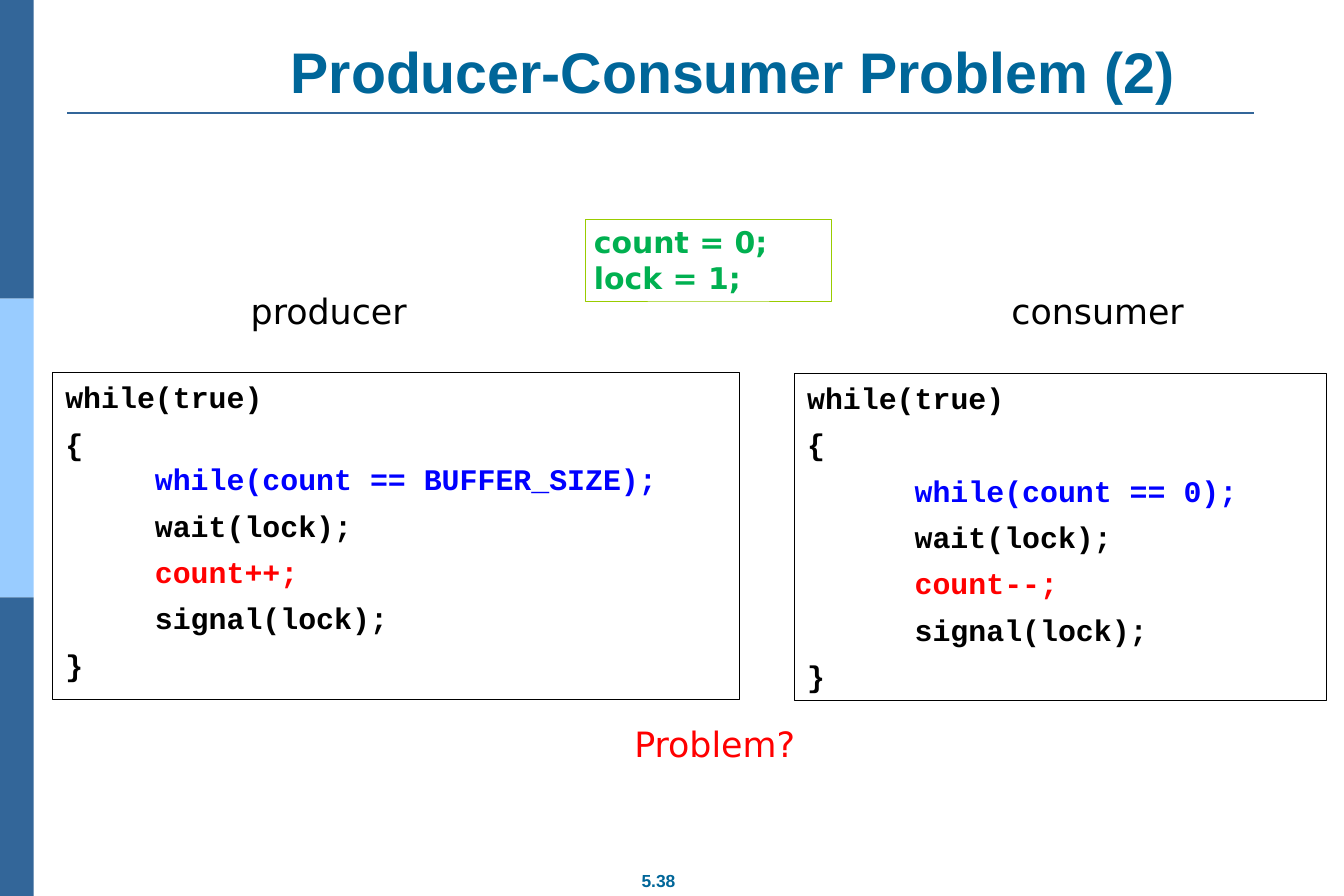
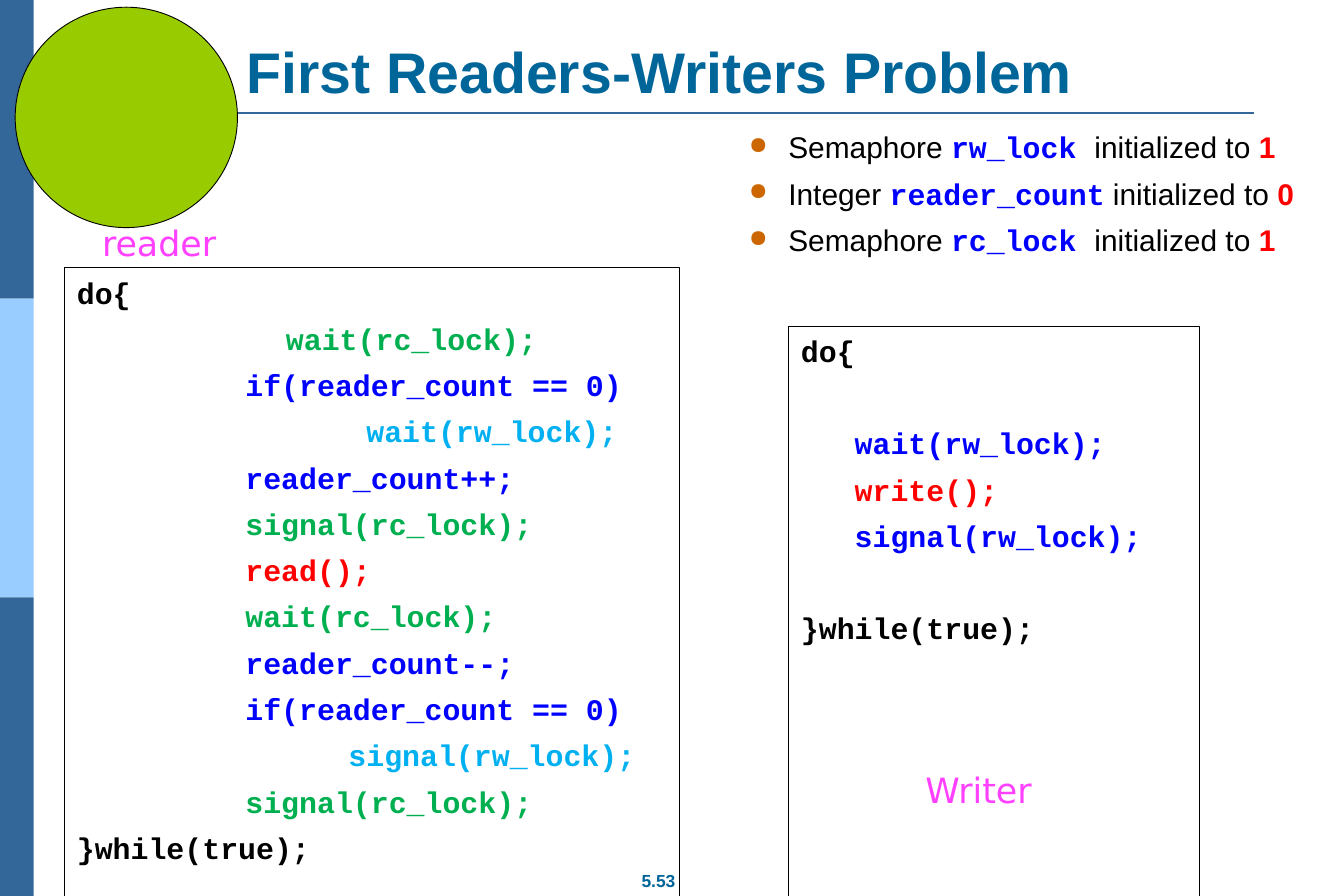
from pptx import Presentation
from pptx.dml.color import RGBColor
from pptx.enum.shapes import MSO_CONNECTOR, MSO_SHAPE
from pptx.enum.text import MSO_ANCHOR, PP_ALIGN
from pptx.oxml.ns import qn
from pptx.util import Pt
from lxml.etree import SubElement

COLORS = {
    "band": "336699", "band_light": "99CCFF", "title": "006699",
    "black": "000000", "blue": "0000FF", "red": "FF0000",
    "green": "00B050", "sky": "00B0F0", "pink": "FF40FF",
    "lime": "99CC00", "bullet": "CC6600",
}
SANS, MONO, LABEL = "Arial", "Courier New", "DejaVu Sans"
W, H = 1080, 720
WIDE_INSET, THIN_INSET = (10, 5), (7.2, 3.6)
LINE_HEIGHT = 1.2
GAP = 8.4
BLANK_LINE = 45.6
IN_PRODUCER, IN_CONSUMER, IN_READER, IN_WRITER = 72, 86.4, 135.4, 43.2

SLIDES = [
    {
        "title": ("Producer-Consumer Problem (2)", (151.2, 28.8, 874.8, 60.5)),
        "page": "5.38",
        "code": [
            ((42.5, 299.5, 551.5, 262.8), [
                ("while(true)", "black", 0),
                ("{", "black", 0),
                ("while(count == BUFFER_SIZE);", "blue", IN_PRODUCER, 0),
                ("wait(lock);", "black", IN_PRODUCER),
                ("count++;", "red", IN_PRODUCER),
                ("signal(lock);", "black", IN_PRODUCER),
                ("}", "black", 0),
            ]),
            ((638.6, 300.2, 427.7, 262.8), [
                ("while(true)", "black", 0),
                ("{", "black", 0),
                ("while(count == 0);", "blue", IN_CONSUMER),
                ("wait(lock);", "black", IN_CONSUMER),
                ("count--;", "red", IN_CONSUMER),
                ("signal(lock);", "black", IN_CONSUMER),
                ("}", "black", 0),
            ]),
        ],
        "labels": [
            ("producer", "black", 194.4, 229),
            ("consumer", "black", 805.7, 229),
            ("Problem?", "red", 502.6, 577.4),
        ],
        "initial": ["count = 0;", "lock = 1;"],
    },
    {
        "title": ("First Readers-Writers Problem", (77.8, 28.8, 903.6, 60.5)),
        "page": "5.53",
        "code": [
            ((51.8, 215.3, 493.9, 504.7), [
                ("do{", "black", 0),
                ("wait(rc_lock);", "green", 168),
                ("if(reader_count == 0)", "blue", IN_READER),
                ("wait(rw_lock);", "sky", 232.6),
                ("reader_count++;", "blue", IN_READER),
                ("signal(rc_lock);", "green", IN_READER),
                ("read();", "red", IN_READER),
                ("wait(rc_lock);", "green", IN_READER),
                ("reader_count--;", "blue", IN_READER),
                ("if(reader_count == 0)", "blue", IN_READER),
                ("signal(rw_lock);", "sky", 218.2),
                ("signal(rc_lock);", "green", IN_READER),
                ("}while(true);", "black", 0),
            ]),
            ((633.6, 262, 330.5, 458), [
                ("do{", "black", 0),
                ("wait(rw_lock);", "blue", IN_WRITER, BLANK_LINE),
                ("write();", "red", IN_WRITER),
                ("signal(rw_lock);", "blue", IN_WRITER),
                ("}while(true);", "black", 0, BLANK_LINE),
            ]),
        ],
        "labels": [
            ("reader", "pink", 74.9, 175),
            ("Writer", "pink", 736.6, 614.2),
        ],
        "bullets": [
            ("Semaphore ", "rw_lock ", "initialized to ", "1"),
            ("Integer ", "reader_count", " initialized to ", "0"),
            ("Semaphore ", "rc_lock ", "initialized to ", "1"),
        ],
        "circle": (12.2, 5.8, 178.6, 177.1),
    },
]


def rgb(name):
    return RGBColor.from_string(COLORS[name])


def add_shape(s, box, fill=None, line=None, kind=MSO_SHAPE.RECTANGLE):
    sp = s.shapes.add_shape(kind, *map(Pt, box))
    sp.shadow.inherit = False
    if fill:
        sp.fill.solid()
        sp.fill.fore_color.rgb = rgb(fill)
    else:
        sp.fill.background()
    if line:
        sp.line.color.rgb = rgb(line)
        sp.line.width = Pt(0.75)
    else:
        sp.line.fill.background()
    return sp


def add_text(s, box):
    return s.shapes.add_textbox(*map(Pt, box))


def write(sp, paragraphs, size, inset=THIN_INSET, align=PP_ALIGN.LEFT,
          anchor=MSO_ANCHOR.TOP, wrap=True):
    tf = sp.text_frame
    tf.word_wrap = wrap
    tf.vertical_anchor = anchor
    tf.margin_left = tf.margin_right = Pt(inset[0])
    tf.margin_top = tf.margin_bottom = Pt(inset[1])
    for i, (runs, gap) in enumerate(paragraphs):
        p = tf.add_paragraph() if i else tf.paragraphs[0]
        p.alignment = align
        p.line_spacing = Pt(LINE_HEIGHT * size)
        p.space_before = Pt(gap if i else 0)
        for text, font, color, bold in runs:
            r = p.add_run()
            r.text = text
            r.font.name, r.font.size, r.font.bold = font, Pt(size), bold
            r.font.color.rgb = rgb(color)
    return tf.paragraphs


def indent(p, left, first=0):
    pPr = p._p.get_or_add_pPr()
    pPr.set("marL", str(Pt(left)))
    pPr.set("indent", str(Pt(first)))
    return pPr


def add_frame(s, title, title_box, page):
    for i, color in enumerate(("band", "band_light", "band")):
        add_shape(s, (0, i * H / 3, 27, H / 3), color)
    rule = s.shapes.add_connector(MSO_CONNECTOR.STRAIGHT,
                                  Pt(54), Pt(90.7), Pt(1008), Pt(90.7))
    rule.line.color.rgb = rgb("band")
    rule.line.width = Pt(1.5)
    SubElement(rule._element.spPr, qn("a:effectLst"))
    write(add_text(s, (504, 694, 50.4, 27.4)), [([(page, SANS, "title", True)], 0)],
          14, WIDE_INSET, PP_ALIGN.CENTER, wrap=False)
    write(add_text(s, title_box), [([(title, SANS, "title", True)], 0)],
          46, WIDE_INSET, PP_ALIGN.CENTER, MSO_ANCHOR.BOTTOM)


def add_code(s, box, lines):
    paragraphs = [([(text, MONO, color, True)], gap[0] if gap else GAP)
                  for text, color, _, *gap in lines]
    written = write(add_shape(s, box, line="black"), paragraphs, 24, WIDE_INSET)
    for p, line in zip(written, lines):
        indent(p, line[2])


def add_bullets(s, items):
    styles = [(SANS, "black", False), (MONO, "blue", True),
              (SANS, "black", False), (SANS, "red", True)]
    paragraphs = [([(text, *style) for text, style in zip(item, styles)], GAP)
                  for item in items]
    for p in write(add_text(s, (540, 98.6, 540, 108)), paragraphs, 24, WIDE_INSET):
        pPr = indent(p, 83.5, -31.7)
        SubElement(SubElement(pPr, qn("a:buClr")), qn("a:srgbClr")).set("val", COLORS["bullet"])
        SubElement(pPr, qn("a:buSzPct")).set("val", "80000")
        SubElement(pPr, qn("a:buChar")).set("char", "●")


def main():
    prs = Presentation()
    prs.slide_width, prs.slide_height = Pt(W), Pt(H)
    for data in SLIDES:
        s = prs.slides.add_slide(prs.slide_layouts[6])
        add_frame(s, *data["title"], data["page"])
        for box, lines in data["code"]:
            add_code(s, box, lines)
        for text, color, x, y in data["labels"]:
            write(add_text(s, (x, y, 241.2, 41)), [([(text, LABEL, color, False)], 0)], 28)
        if "initial" in data:
            write(add_shape(s, (470.2, 176.4, 198, 65.5), line="lime"),
                  [([(text, LABEL, "green", True)], 0) for text in data["initial"]], 24)
        if "bullets" in data:
            add_bullets(s, data["bullets"])
        if "circle" in data:
            add_shape(s, data["circle"], "lime", "black", MSO_SHAPE.OVAL)
    prs.save("out.pptx")


if __name__ == "__main__":
    main()
